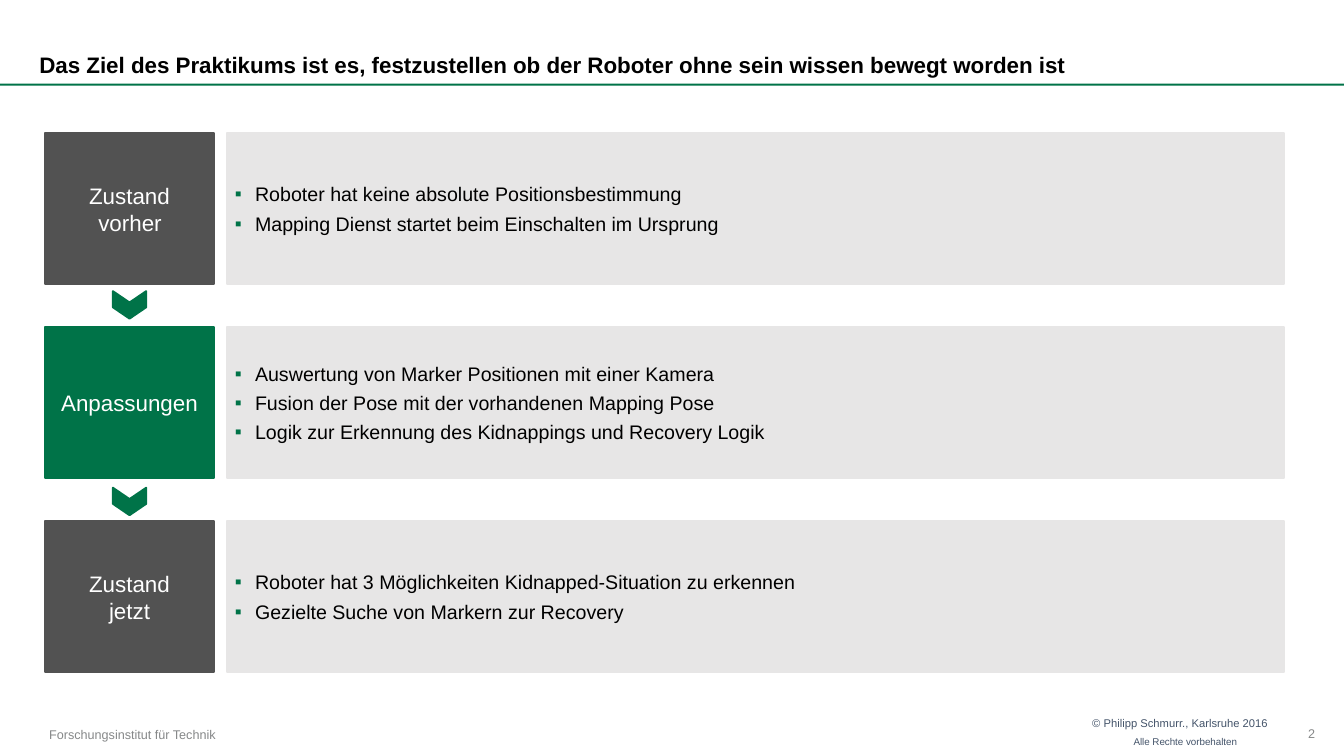
from lxml.etree import SubElement
from pptx import Presentation
from pptx.dml.color import RGBColor
from pptx.enum.shapes import MSO_SHAPE
from pptx.enum.text import MSO_ANCHOR, PP_ALIGN
from pptx.oxml.ns import qn
from pptx.util import Pt

COLORS = {
    "green": "007348", "dark": "525252", "light": "E7E6E6", "footer": "868889",
    "credit": "44546A", "black": "000000", "white": "FFFFFF",
}
FONT = "Arial"
ROW_TOP, ROW_PITCH, ROW_H = 95.04, 138.6, 108
LABEL_X, LABEL_W = 32.4, 120.24
BODY_X, BODY_W = 162, 755.28
CHEVRON_TOP, CHEVRON_PITCH = 205.92, 140.4
CHEVRON_W, CHEVRON_H = 19.44, 23.76

ROWS = [
    (["Zustand vorher"], "dark", [
        "Roboter hat keine absolute Positionsbestimmung",
        "Mapping Dienst startet beim Einschalten im Ursprung"]),
    (["Anpassungen"], "green", [
        "Auswertung von Marker Positionen mit einer Kamera",
        "Fusion der Pose mit der vorhandenen Mapping Pose",
        "Logik zur Erkennung des Kidnappings und Recovery Logik"]),
    (["Zustand", "jetzt"], "dark", [
        "Roboter hat 3 Möglichkeiten Kidnapped-Situation zu erkennen",
        "Gezielte Suche von Markern zur Recovery"]),
]


def rgb(name):
    return RGBColor.from_string(COLORS[name])


def set_indent(p, left, first):
    pPr = p._p.get_or_add_pPr()
    pPr.set("marL", str(Pt(left)))
    pPr.set("indent", str(Pt(first)))
    return pPr


def add_bullet(p):
    p.space_before = p.space_after = Pt(2)
    pPr = set_indent(p, 20.16, -14.4)
    clr = SubElement(pPr, qn("a:buClr"))
    SubElement(clr, qn("a:srgbClr")).set("val", COLORS["green"])
    SubElement(pPr, qn("a:buFont")).set("typeface", FONT)
    SubElement(pPr, qn("a:buChar")).set("char", "▪")


def write(tf, lines, size=14, color="black", bold=False, align=PP_ALIGN.LEFT,
          anchor=MSO_ANCHOR.MIDDLE, insets=(7.2, 3.6, 7.2, 3.6), wrap=True,
          spacing=None, bullets=False):
    """Fill a text frame with one paragraph per line."""
    tf.word_wrap = wrap
    tf.vertical_anchor = anchor
    tf.margin_left, tf.margin_top, tf.margin_right, tf.margin_bottom = map(Pt, insets)
    for i, line in enumerate(lines):
        p = tf.add_paragraph() if i else tf.paragraphs[0]
        p.alignment = align
        if spacing:
            p.line_spacing = spacing
        if bullets:
            add_bullet(p)
        r = p.add_run()
        r.text = line
        r.font.name, r.font.size, r.font.bold = FONT, Pt(size), bold
        r.font.color.rgb = rgb(color)


class SlideBuilder:
    def __init__(self, prs):
        self.s = prs.slides.add_slide(prs.slide_layouts[6])

    def shape(self, kind, x, y, w, h, color, outline=True):
        sp = self.s.shapes.add_shape(kind, Pt(x), Pt(y), Pt(w), Pt(h))
        sp.shadow.inherit = False
        sp.fill.solid()
        sp.fill.fore_color.rgb = rgb(color)
        if outline:
            sp.line.color.rgb = rgb(color)
            sp.line.width = Pt(1.5)
        else:
            sp.line.fill.background()
        return sp

    def text(self, x, y, w, h, line, **fmt):
        sp = self.s.shapes.add_textbox(Pt(x), Pt(y), Pt(w), Pt(h))
        write(sp.text_frame, [line], **fmt)

    def label(self, y, lines, color):
        sp = self.shape(MSO_SHAPE.RECTANGLE, LABEL_X, y, LABEL_W, ROW_H, color)
        write(sp.text_frame, lines, size=16, color="white", align=PP_ALIGN.CENTER)
        for p in sp.text_frame.paragraphs:
            set_indent(p, 0.72, -0.72)

    def body(self, y, lines):
        sp = self.shape(MSO_SHAPE.RECTANGLE, BODY_X, y, BODY_W, ROW_H, "light")
        write(sp.text_frame, lines, insets=(0, 2.88, 0, 2.88), bullets=True)

    def chevron(self, y):
        x = LABEL_X + (LABEL_W - CHEVRON_W) / 2
        sp = self.shape(MSO_SHAPE.CHEVRON, x, y, CHEVRON_W, CHEVRON_H, "green")
        sp.adjustments[0] = 0.416
        sp.rotation = 90


def main():
    prs = Presentation()
    prs.slide_width, prs.slide_height = Pt(960), Pt(540)
    b = SlideBuilder(prs)

    b.shape(MSO_SHAPE.RECTANGLE, 0, 59.76, 960, 1.44, "green", outline=False)
    b.text(0, 0, 789.84, 59.76,
           "Das Ziel des Praktikums ist es, festzustellen ob der Roboter "
           "ohne sein wissen bewegt worden ist",
           size=16, bold=True, anchor=MSO_ANCHOR.BOTTOM, spacing=0.9,
           insets=(28.08, 3.6, 7.2, 3.6))

    for i, (label, color, points) in enumerate(ROWS):
        y = ROW_TOP + i * ROW_PITCH
        b.label(y, label, color)
        b.body(y, points)
        if i < len(ROWS) - 1:
            b.chevron(CHEVRON_TOP + i * CHEVRON_PITCH)

    credit = dict(color="credit", align=PP_ALIGN.RIGHT, anchor=MSO_ANCHOR.TOP)
    b.text(771.12, 508.32, 141.84, 31.68, "© Philipp Schmurr., Karlsruhe 2016",
           size=8, wrap=False, **credit)
    b.text(793.44, 522, 97.2, 18, "Alle Rechte vorbehalten", size=7, **credit)
    b.text(28.08, 509.04, 153.36, 30.96, "Forschungsinstitut für Technik",
           size=9, color="footer")
    b.text(927.36, 508.32, 32.4, 31.68, "2", size=9, color="footer")

    prs.save("out.pptx")


if __name__ == "__main__":
    main()
